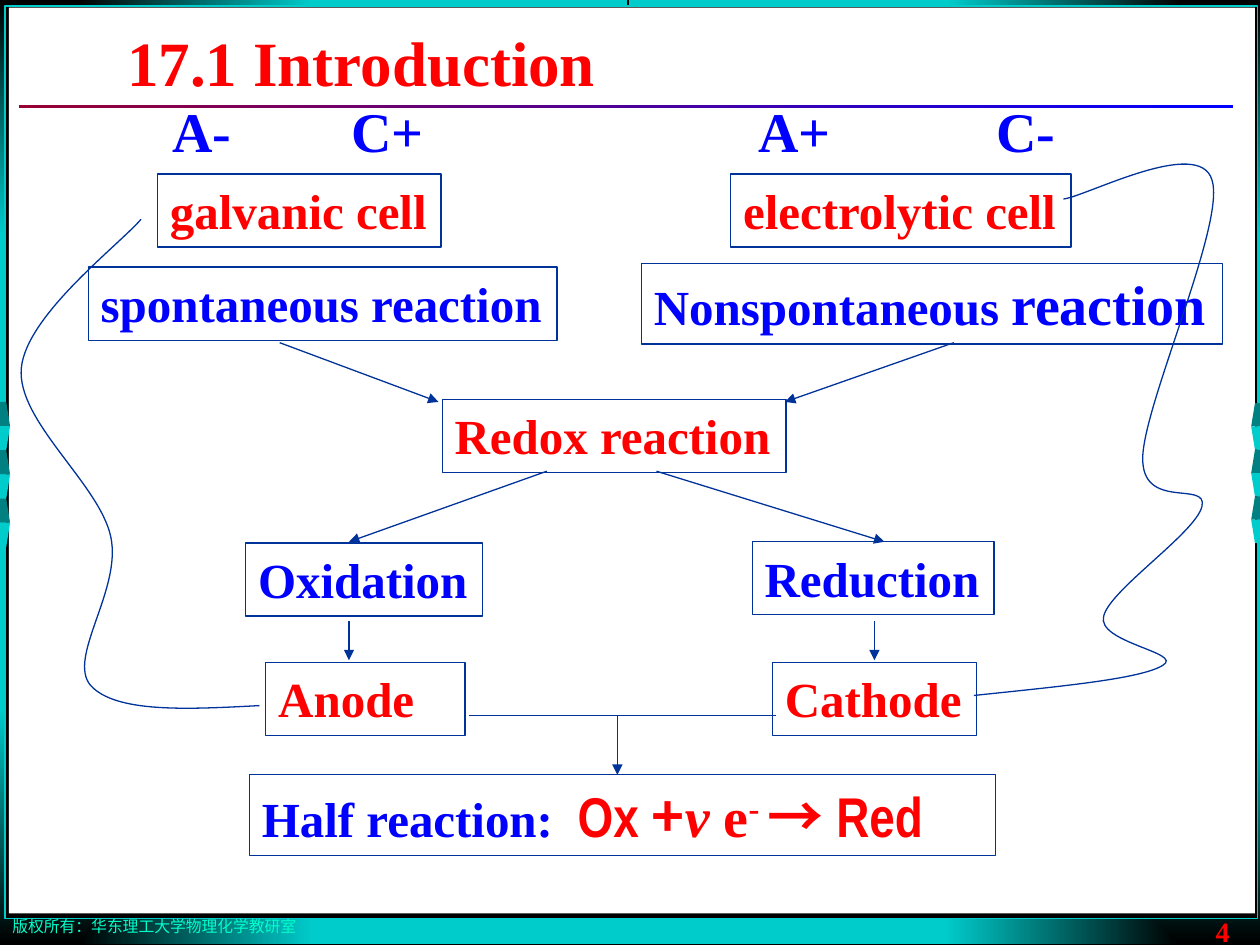
from lxml.etree import SubElement
from pptx import Presentation
from pptx.dml.color import RGBColor
from pptx.enum.shapes import MSO_CONNECTOR as CONN, MSO_SHAPE as SHAPE
from pptx.enum.text import MSO_ANCHOR as ANCHOR, MSO_AUTO_SIZE as AUTO, PP_ALIGN as ALIGN
from pptx.oxml import parse_xml
from pptx.oxml.ns import nsdecls, qn
from pptx.util import Inches, Pt

RED, BLUE, NAVY = "FF0000", "0000FF", "003399"
CYAN, TEAL, BLACK, WHITE = "00CCCC", "008080", "000000", "FFFFFF"
SERIF, NARROW, CJK = "Times New Roman", "Arial Narrow", "Noto Sans CJK SC"


def rgb(value):
    return RGBColor.from_string(value)


class SlideBuilder:
    """Holds the shared style and the slide being drawn."""

    line_width = Pt(0.75)

    def __init__(self, slide):
        self.slide = slide
        self.shapes = slide.shapes

    def paint(self, sp, fill=None, line=None, width=None):
        sp.shadow.inherit = False
        if fill:
            sp.fill.solid()
            sp.fill.fore_color.rgb = rgb(fill)
        else:
            sp.fill.background()
        if line:
            sp.line.color.rgb = rgb(line)
            sp.line.width = width or self.line_width
        else:
            sp.line.fill.background()
        return sp

    def rect(self, at, fill=None, line=None, width=None):
        sp = self.shapes.add_shape(SHAPE.RECTANGLE, *map(Inches, at))
        return self.paint(sp, fill, line, width)

    def gradient(self, at, start, end, direction):
        """Fill a rectangle with a gradient; direction is its XML element."""
        sp = self.rect(at)
        grad = parse_xml(
            f'<a:gradFill {nsdecls("a")} rotWithShape="1"><a:gsLst>'
            f'<a:gs pos="0"><a:srgbClr val="{start}"/></a:gs>'
            f'<a:gs pos="100000"><a:srgbClr val="{end}"/></a:gs>'
            f'</a:gsLst>{direction}</a:gradFill>')
        props = sp._element.spPr
        props.replace(props.find(qn("a:noFill")), grad)

    def set_text(self, sp, runs, wrap=False):
        """Fill a shape with runs of (text, size, colour, font, options)."""
        tf = sp.text_frame
        tf.word_wrap = wrap
        tf.auto_size = AUTO.SHAPE_TO_FIT_TEXT
        tf.vertical_anchor = ANCHOR.TOP
        p = tf.paragraphs[0]
        p.alignment = ALIGN.LEFT
        for text, size, color, name, options in runs:
            r = p.add_run()
            r.text = text
            r.font.size = Pt(size)
            r.font.bold = options.get("bold", True)
            r.font.italic = options.get("italic", False)
            r.font.color.rgb = rgb(color)
            r.font.name = name
            props = r._r.get_or_add_rPr()
            SubElement(props, qn("a:ea")).set("typeface", CJK)
            if "baseline" in options:
                props.set("baseline", str(options["baseline"]))

    def box(self, at, runs, wrap=False):
        self.set_text(self.rect(at, line=NAVY), runs, wrap)

    def label(self, at, run, wrap=False):
        self.set_text(self.shapes.add_textbox(*map(Inches, at)), [run], wrap)

    def title(self, at, run):
        sp = self.shapes.title
        sp.left, sp.top, sp.width, sp.height = map(Inches, at)
        self.set_text(sp, [run])
        self.shapes._spTree.append(sp._element)  # bring in front of the frame

    def connector(self, start, end, arrow=True):
        cx = self.shapes.add_connector(CONN.STRAIGHT, *map(Inches, start + end))
        cx.line.color.rgb = rgb(NAVY)
        cx.line.width = self.line_width
        if arrow:
            SubElement(cx.line._get_or_add_ln(), qn("a:tailEnd")).set("type", "triangle")
        SubElement(cx._element.spPr, qn("a:effectLst"))

    def outline(self, points, closed):
        points = [(Inches(x), Inches(y)) for x, y in points]
        builder = self.shapes.build_freeform(*points[0], scale=1.0)
        builder.add_line_segments(points[1:], close=closed)
        return builder.convert_to_shape()

    def polygon(self, points, fill):
        self.paint(self.outline(points, True), fill)

    def curve(self, points):
        """Draw a start point followed by triples of Bezier points."""
        sp = self.paint(self.outline(points, False), line=NAVY)
        segments = list(sp._element.iter(qn("a:lnTo")))
        for i in range(0, len(segments), 3):
            bezier = parse_xml(f'<a:cubicBezTo {nsdecls("a")}/>')
            segments[i].addprevious(bezier)
            for segment in segments[i:i + 3]:
                bezier.append(segment[0])
                segment.getparent().remove(segment)


def run(text, color, size=28, name=SERIF, **options):
    return text, size, color, name, options


def draw_frame(s):
    # Four corner gradients, dark at the outer corner
    for at, left, top in (((0, 0, 4.98, 3.75), 0, 0), ((0, 3.75, 4.98, 3.74), 0, 1),
                          ((4.99, 0, 5.03, 3.75), 1, 0), ((4.96, 3.75, 5.06, 3.74), 1, 1)):
        l, t = left * 100000, top * 100000
        s.gradient(at, BLACK, CYAN,
                   f'<a:path path="rect"><a:fillToRect l="{l}" t="{t}" '
                   f'r="{100000 - l}" b="{100000 - t}"/></a:path>')
    s.rect((0.04, 0.05, 9.94, 7.24), BLACK, CYAN, Pt(1))
    s.rect((0.07, 0.06, 9.89, 7.19), WHITE)

    # Zigzag ribbons on both sides
    for edge, inward, top, bottom in ((0, 1, 3.19, 4.34), (10.01, -1, 3.2, 4.31)):
        step = (bottom - top) / 6
        for i in range(6):
            narrow, wide = top + i * step, top + (i + 1) * step
            if i % 2:
                narrow, wide = wide, narrow
            s.polygon([(edge, narrow), (edge + inward * 0.05, narrow),
                       (edge + inward * 0.08, wide), (edge, wide)],
                      CYAN if i % 2 else TEAL)

    # Title rule, footer and page number
    s.gradient((0.15, 0.83, 9.64, 0.03), "990033", BLUE, '<a:lin ang="0" scaled="1"/>')
    s.label((0, 7.23, 4.65, 0.25),
            run("版权所有：华东理工大学物理化学教研室", "00FFCC", 9, bold=False), True)
    s.label((9.55, 7.21, 0.62, 0.37), run("4", RED, 16), True)


def draw_diagram(s):
    # Boxes
    for text, color, at in (
            ("galvanic cell", RED, (1.25, 1.38, 2.25, 0.58)),
            ("electrolytic cell", RED, (5.8, 1.38, 2.7, 0.58)),
            ("spontaneous reaction", BLUE, (0.7, 2.12, 3.72, 0.58)),
            ("Redox reaction", RED, (3.51, 3.17, 2.73, 0.58)),
            ("Oxidation", BLUE, (1.95, 4.31, 1.88, 0.58)),
            ("Reduction", BLUE, (5.97, 4.3, 1.92, 0.58)),
            ("Anode", RED, (2.11, 5.26, 1.58, 0.58)),
            ("Cathode", RED, (6.13, 5.26, 1.62, 0.58))):
        s.box(at, [run(text, color)], wrap=text == "Anode")
    s.box((5.09, 2.09, 4.61, 0.64),
          [run("Nonspontaneous ", BLUE), run("reaction", BLUE, 32)])
    s.box((1.98, 6.15, 5.92, 0.64), [
        run("Half reaction:  ", BLUE), run("Ox ", RED, 32, NARROW),
        run("+", RED, 32, CJK), run("ν ", RED, 32, italic=True), run("e", RED, 32),
        run("- ", RED, 32, baseline=30000), run("→ ", RED, 32, CJK),
        run("Red", RED, 32, NARROW)], wrap=True)

    # Arrows
    for start, end in (((2.22, 2.72), (3.48, 3.19)), ((7.57, 2.72), (6.23, 3.19)),
                       ((4.34, 3.74), (2.77, 4.3)), ((5.21, 3.74), (7.02, 4.3)),
                       ((2.77, 4.93), (2.77, 5.24)), ((6.94, 4.93), (6.94, 5.24)),
                       ((4.9, 5.68), (4.9, 6.15))):
        s.connector(start, end)
    s.connector((3.72, 5.68), (6.16, 5.68), arrow=False)

    # Electrode signs
    for text, left, width in (("A-", 1.27, 0.67), ("C+", 2.69, 0.78),
                              ("A+", 5.92, 0.78), ("C-", 7.81, 0.67)):
        s.label((left, 0.72, width, 0.63), run(text, BLUE, 32))

    # Curves from the electrodes to the cells
    s.curve([(2.06, 5.6), (1.49, 5.63), (0.92, 5.66), (0.72, 5.44),
             (0.53, 5.22), (0.97, 4.68), (0.88, 4.26),
             (0.79, 3.84), (0.13, 3.34), (0.17, 2.92),
             (0.21, 2.5), (0.95, 1.94), (1.12, 1.74)])
    s.curve([(7.73, 5.52), (8.39, 5.45), (9.06, 5.39), (9.23, 5.28),
             (9.4, 5.18), (8.7, 5.1), (8.76, 4.89),
             (8.81, 4.68), (9.49, 4.23), (9.54, 4.02),
             (9.59, 3.81), (9.06, 4.06), (9.07, 3.63),
             (9.08, 3.2), (9.73, 1.77), (9.62, 1.43),
             (9.52, 1.08), (8.62, 1.56), (8.44, 1.58)])


def main():
    prs = Presentation()
    prs.slide_width, prs.slide_height = Inches(10), Inches(7.5)
    slide = prs.slides.add_slide(prs.slide_layouts[5])
    slide.background.fill.solid()
    slide.background.fill.fore_color.rgb = rgb(BLACK)
    s = SlideBuilder(slide)
    draw_frame(s)
    draw_diagram(s)
    s.title((0.91, 0.14, 3.92, 0.7), run("17.1 Introduction", RED, 36))
    prs.save("out.pptx")


if __name__ == "__main__":
    main()
